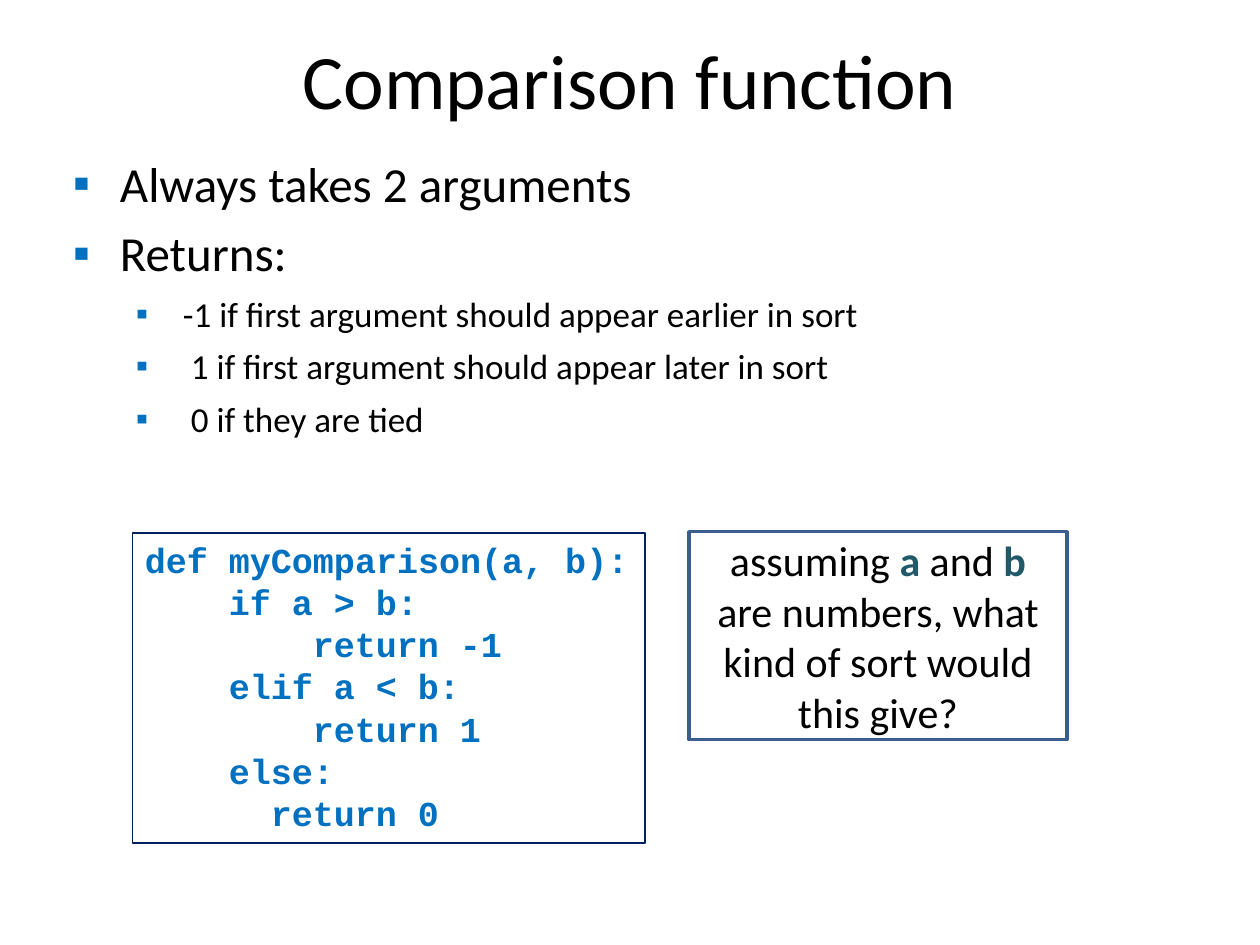
from pptx import Presentation
from pptx.dml.color import RGBColor
from pptx.enum.shapes import MSO_SHAPE
from pptx.enum.text import MSO_ANCHOR, PP_ALIGN
from pptx.oxml.ns import qn
from pptx.util import Cm, Pt
from lxml import etree

RECT = MSO_SHAPE.RECTANGLE
TOP, MID = MSO_ANCHOR.TOP, MSO_ANCHOR.MIDDLE
LEFT, CENTER = PP_ALIGN.LEFT, PP_ALIGN.CENTER
BLACK = RGBColor(0x00, 0x00, 0x00)
WHITE = RGBColor(0xFF, 0xFF, 0xFF)
BLUE = RGBColor(0x00, 0x70, 0xC0)
NAVY = RGBColor(0x00, 0x20, 0x60)
STEEL = RGBColor(0x3A, 0x5F, 0x8C)
TEAL = RGBColor(0x21, 0x59, 0x68)


def add_box(at, anchor, wrap, edge=None, width=0, fill=None):
    box = slide.shapes.add_shape(RECT, *[Cm(v) for v in at])
    box.shadow.inherit = False
    if fill is None:
        box.fill.background()
    else:
        box.fill.solid()
        box.fill.fore_color.rgb = fill
    if edge is None:
        box.line.fill.background()
    else:
        box.line.color.rgb = edge
        box.line.width = Pt(width)
    frame = box.text_frame
    frame.word_wrap = wrap
    frame.vertical_anchor = anchor
    return frame


def add_para(frame, num, runs, look, form):
    para = frame.paragraphs[0] if num == 0 else frame.add_paragraph()
    for key, val in form.items():
        setattr(para, key, val)
    for text, color, bold in runs:
        run = para.add_run()
        run.text = text
        run.font.color.rgb = color
        run.font.bold = bold
        for key, val in look.items():
            setattr(run.font, key, val)
    return para


deck = Presentation()
deck.slide_width, deck.slide_height = Cm(25.4), Cm(19.05)
slide = deck.slides.add_slide(deck.slide_layouts[6])

code = [
    (0, "def myComparison(a, b):"),
    (4, "if a > b:"),
    (8, "return -1"),
    (4, "elif a < b:"),
    (8, "return 1"),
    (4, "else:"),
    (6, "return 0"),
]
frame = add_box((2.67, 10.74, 10.34, 6.25), TOP, False, NAVY, 1)
look = {"name": "Courier New", "size": Pt(20)}
form = {"alignment": LEFT, "line_spacing": Pt(24)}
for num, (chars, text) in enumerate(code):
    para = add_para(frame, num, [(text, BLUE, True)], look, form)
    para._p.get_or_add_pPr().set("marL", str(Pt(12 * chars)))

quiz = [
    ("assuming ", BLACK, False),
    ("a", TEAL, True),
    (" and ", BLACK, False),
    ("b", TEAL, True),
    (" are numbers, what kind of sort would this give?", BLACK, False),
]
frame = add_box((13.89, 10.72, 7.62, 4.19), MID, True, STEEL, 2, WHITE)
look = {"name": "Calibri", "size": Pt(24)}
add_para(frame, 0, quiz, look, {"alignment": CENTER})

frame = add_box((0, 0, 25.4, 3.18), MID, True)
look = {"name": "Calibri", "size": Pt(44)}
title = [("Comparison function", BLACK, False)]
add_para(frame, 0, title, look, {"alignment": CENTER})

points = [
    (0, "Always takes 2 arguments"),
    (0, "Returns:"),
    (1, "-1 if first argument should appear earlier in sort"),
    (1, " 1 if first argument should appear later in sort"),
    (1, " 0 if they are tied"),
]
sizes = [28, 20]
frame = add_box((1.22, 2.97, 23.29, 4.8), TOP, True)
for num, (level, text) in enumerate(points):
    look = {"name": "Calibri", "size": Pt(sizes[level])}
    form = {"alignment": LEFT, "level": level, "space_after": Pt(6)}
    para = add_para(frame, num, [(text, BLACK, False)], look, form)
    props = para._p.get_or_add_pPr()
    props.set("marL", str(Cm(0.95 + 1.27 * level)))
    props.set("indent", str(Cm(-0.95)))
    tint = etree.SubElement(props, qn("a:buClr"))
    etree.SubElement(tint, qn("a:srgbClr"), val=str(BLUE))
    etree.SubElement(props, qn("a:buFont"), typeface="Arial")
    etree.SubElement(props, qn("a:buChar"), char="▪")

deck.save("out.pptx")
